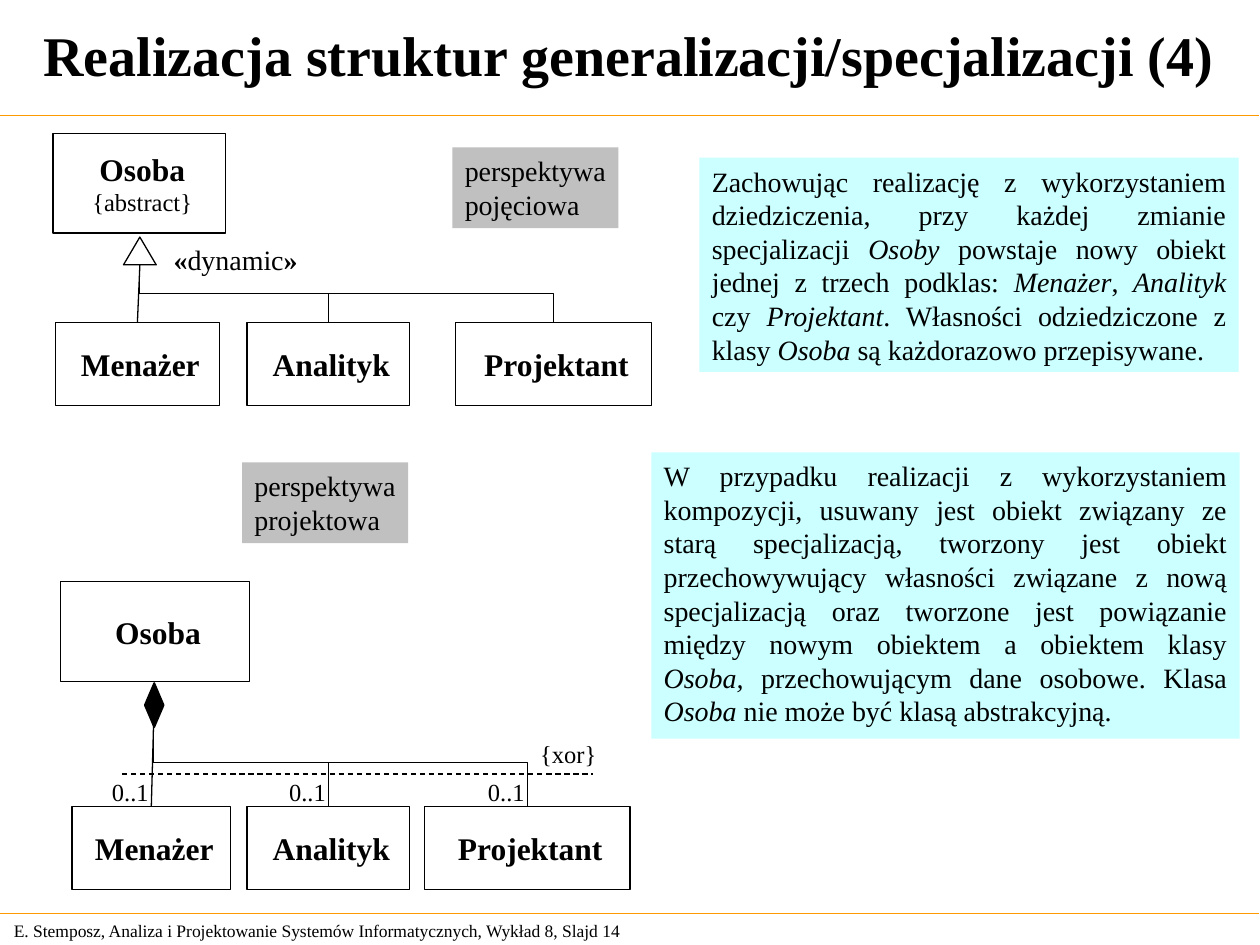
import pptx
import pptx.dml.color
import pptx.enum.dml
import pptx.enum.shapes
import pptx.enum.text
import pptx.oxml
import pptx.oxml.ns
import pptx.util
from pptx.util import Cm

BLACK = pptx.dml.color.RGBColor(0x00, 0x00, 0x00)
WHITE = pptx.dml.color.RGBColor(0xFF, 0xFF, 0xFF)
ORANGE = pptx.dml.color.RGBColor(0xFF, 0x99, 0x00)
CYAN = pptx.dml.color.RGBColor(0xCC, 0xFF, 0xFF)
GREY = pptx.dml.color.RGBColor(0xC0, 0xC0, 0xC0)
FONT = "Times New Roman"
ALIGN = pptx.enum.text.PP_ALIGN
ANCHOR = pptx.enum.text.MSO_ANCHOR
SHAPE = pptx.enum.shapes.MSO_SHAPE
CONNECTOR = pptx.enum.shapes.MSO_CONNECTOR


def write(paragraph, runs, size, alignment=ALIGN.LEFT):
    """Add runs given as (text, style), where style may hold b and i."""
    paragraph.alignment = alignment
    for text, style in runs:
        run = paragraph.add_run()
        run.text = text
        run.font.name = FONT
        run.font.size = pptx.util.Pt(size)
        run.font.color.rgb = BLACK
        run.font.bold = "b" in style
        run.font.italic = "i" in style


def set_frame(frame, wrap, anchor, insets=(0.25, 0.13, 0.25, 0.13)):
    """Set wrapping, anchor and insets of a text frame."""
    frame.word_wrap = wrap
    frame.auto_size = pptx.enum.text.MSO_AUTO_SIZE.NONE
    frame.vertical_anchor = anchor
    frame.margin_left, frame.margin_top, frame.margin_right, frame.margin_bottom = map(Cm, insets)


def add_shape(slide, kind, box, fill=None, line_width=None):
    """Add a preset shape in a box of centimetres."""
    shape = slide.shapes.add_shape(kind, *map(Cm, box))
    shape.shadow.inherit = False
    if fill is None:
        shape.fill.background()
    else:
        shape.fill.solid()
        shape.fill.fore_color.rgb = fill
    if line_width is None:
        shape.line.fill.background()
    else:
        shape.line.color.rgb = BLACK
        shape.line.width = pptx.util.Pt(line_width)
    return shape


def add_label(slide, box, runs, size, alignment=ALIGN.LEFT, wrap=False, anchor=ANCHOR.TOP):
    """Add a one-line text box."""
    frame = slide.shapes.add_textbox(*map(Cm, box)).text_frame
    set_frame(frame, wrap, anchor)
    write(frame.paragraphs[0], runs, size, alignment)


def add_line(slide, begin, end, color=BLACK, kind=CONNECTOR.STRAIGHT):
    """Add a thin connector between two points in centimetres."""
    connector = slide.shapes.add_connector(kind, *map(Cm, begin + end))
    connector.line.color.rgb = color
    connector.line.width = pptx.util.Pt(0.75)
    properties = connector._element.spPr
    properties.append(pptx.oxml.parse_xml(f'<a:effectLst {pptx.oxml.ns.nsdecls("a")}/>'))
    return connector


def add_elbow(slide, begin, end):
    """Add an elbow that runs down, right and down again."""
    center_x, center_y = (begin[0] + end[0]) / 2, (begin[1] + end[1]) / 2
    half_x, half_y = (end[0] - begin[0]) / 2, (end[1] - begin[1]) / 2
    connector = add_line(slide, (center_x - half_y, center_y - half_x),
                         (center_x + half_y, center_y + half_x), kind=CONNECTOR.ELBOW)
    transform = connector._element.spPr.find(pptx.oxml.ns.qn("a:xfrm"))
    transform.set("rot", "16200000")
    transform.set("flipH", "1")


def add_class(slide, box, name, constraint=None, fill=None):
    """Add a class box with its name and an optional constraint."""
    shape = add_shape(slide, SHAPE.RECTANGLE, box, fill, 0)
    frame = shape.text_frame
    set_frame(frame, True, ANCHOR.MIDDLE, (0.12, 0, 0, 0))
    write(frame.paragraphs[0], [(name, "b")], 18, ALIGN.CENTER)
    if constraint:
        write(frame.add_paragraph(), [(constraint, "")], 14, ALIGN.CENTER)
    return shape


def add_tree(slide, left, top, parent_width, constraint, root, children_top, children):
    """Add a parent class joined to its children and return the child centres."""
    add_class(slide, (left, top, parent_width, 2.01), "Osoba", constraint, WHITE)
    begin = (left + root[0], top + root[1])
    centers = []
    names = ("Menażer", "Analityk", "Projektant")
    for index, (name, (offset, width)) in enumerate(zip(names, children)):
        child = add_class(slide, (left + offset, top + children_top, width, 1.68), name)
        end = (left + offset + width / 2, top + children_top)
        centers.append(end[0])
        if index == 0:
            add_line(slide, begin, end).end_connect(child, 0)
        else:
            add_elbow(slide, begin, end)
    return centers


def add_generalization(slide, left, top):
    """Add the inheritance diagram."""
    add_tree(slide, left, top, 3.48, "{abstract}", (1.75, 2.64), 3.81,
             [(0.05, 3.3), (3.91, 3.28), (8.12, 3.94)])
    add_shape(slide, SHAPE.ISOSCELES_TRIANGLE, (left + 1.42, top + 2.09, 0.66, 0.56), line_width=0.75)
    add_label(slide, (left + 2.18, top + 2.06, 3, 0.94),
              [("«", "b"), ("dynamic", ""), ("»", "b")], 16)


def add_composition(slide, left, top):
    """Add the composition diagram with multiplicities and the xor constraint."""
    centers = add_tree(slide, left, top, 3.81, None, (1.88, 2.75), 4.53,
                       [(0.23, 3.2), (3.76, 3.28), (7.34, 4.14)])
    add_shape(slide, SHAPE.DIAMOND, (left + 1.7, top + 2.04, 0.38, 0.89), BLACK, 1)
    for center in centers:
        add_label(slide, (center - 1.04, top + 3.81, 1.24, 0.86), [("0..1", "")], 14, ALIGN.RIGHT)
    constraint_line = add_line(slide, (left + 1.24, top + 3.87), (left + 10.74, top + 3.87))
    constraint_line.line.dash_style = pptx.enum.dml.MSO_LINE.DASH
    add_label(slide, (left + 9.42, top + 3.03, 1.63, 0.86), [("{xor}", "")], 14)


def add_panel(slide, box, runs):
    """Add a justified explanation on a light panel."""
    frame = add_shape(slide, SHAPE.RECTANGLE, box, CYAN).text_frame
    set_frame(frame, True, ANCHOR.TOP)
    write(frame.paragraphs[0], runs, 16, ALIGN.JUSTIFY)


def add_perspective(slide, left, top, kind):
    """Add a grey tag that names the perspective."""
    frame = add_shape(slide, SHAPE.RECTANGLE, (left, top, 3.35, 1.63), GREY).text_frame
    set_frame(frame, False, ANCHOR.TOP)
    write(frame.paragraphs[0], [("perspektywa", "")], 16)
    write(frame.add_paragraph(), [(kind, "")], 16)


def add_title_and_footer(slide, width):
    """Fill the title and add the rules and the footer."""
    title = slide.shapes.title
    title.left, title.top, title.width, title.height = map(Cm, (0, -0.08, width, 2.34))
    set_frame(title.text_frame, True, ANCHOR.MIDDLE)
    write(title.text_frame.paragraphs[0],
          [("Realizacja struktur generalizacji/specjalizacji (4)", "b")], 32, ALIGN.CENTER)
    for rule_top in (2.33, 18.41):
        add_line(slide, (0, rule_top), (width, rule_top), ORANGE)
    add_label(slide, (0.03, 18.41, 13.31, 0.69),
              [("E. Stemposz, Analiza i Projektowanie Systemów Informatycznych, Wykład 8, Slajd 14", "")],
              10, wrap=True, anchor=ANCHOR.MIDDLE)


def main():
    """Build and save the presentation."""
    presentation = pptx.Presentation()
    presentation.slide_width, presentation.slide_height = Cm(25.4), Cm(19.05)
    slide = presentation.slides.add_slide(presentation.slide_layouts[5])
    add_title_and_footer(slide, 25.37)
    add_generalization(slide, 1.07, 2.69)
    add_composition(slide, 1.22, 11.73)
    add_panel(slide, (14.1, 3.18, 10.87, 4.32), [
        ("Zachowując realizację z wykorzystaniem dziedziczenia, przy każdej zmianie specjalizacji ", ""),
        ("Osoby ", "i"), ("powstaje nowy obiekt jednej z trzech podklas: ", ""),
        ("Menażer", "i"), (", ", ""), ("Analityk ", "i"), ("czy ", ""), ("Projektant", "i"),
        (". Własności odziedziczone z klasy ", ""), ("Osoba ", "i"),
        ("są każdorazowo przepisywane.", "")])
    add_panel(slide, (13.13, 9.12, 11.86, 5.77), [
        ("W przypadku realizacji z wykorzystaniem kompozycji, usuwany jest obiekt związany ze starą "
         "specjalizacją, tworzony jest obiekt przechowywujący własności związane z nową specjalizacją "
         "oraz tworzone jest powiązanie między nowym obiektem a obiektem klasy ", ""),
        ("Osoba, ", "i"), ("przechowującym dane osobowe. Klasa ", ""), ("Osoba", "i"),
        (" nie może być klasą abstrakcyjną.", "")])
    add_perspective(slide, 9.12, 2.97, "pojęciowa")
    add_perspective(slide, 4.88, 9.32, "projektowa")
    presentation.save("out.pptx")


if __name__ == "__main__":
    main()
